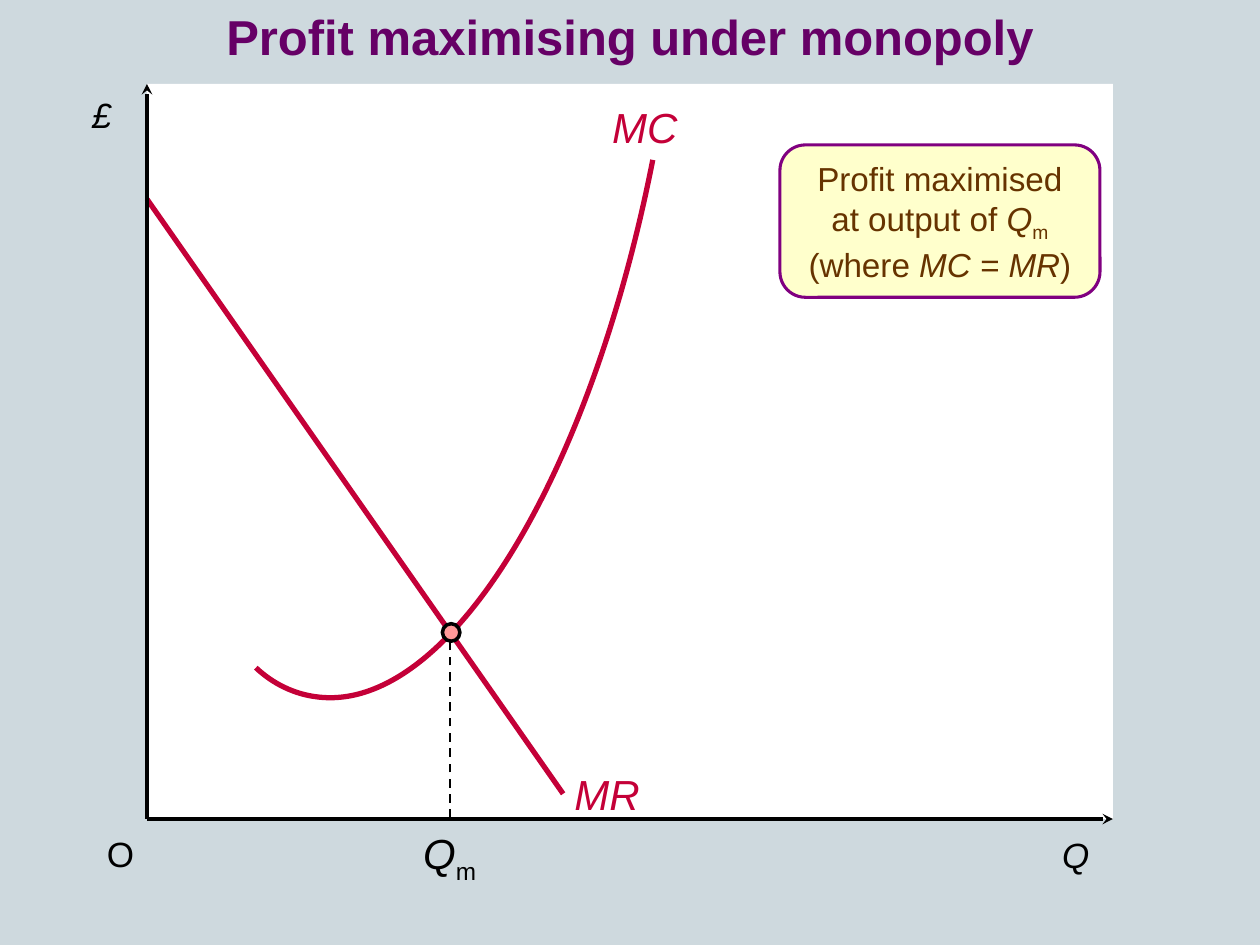
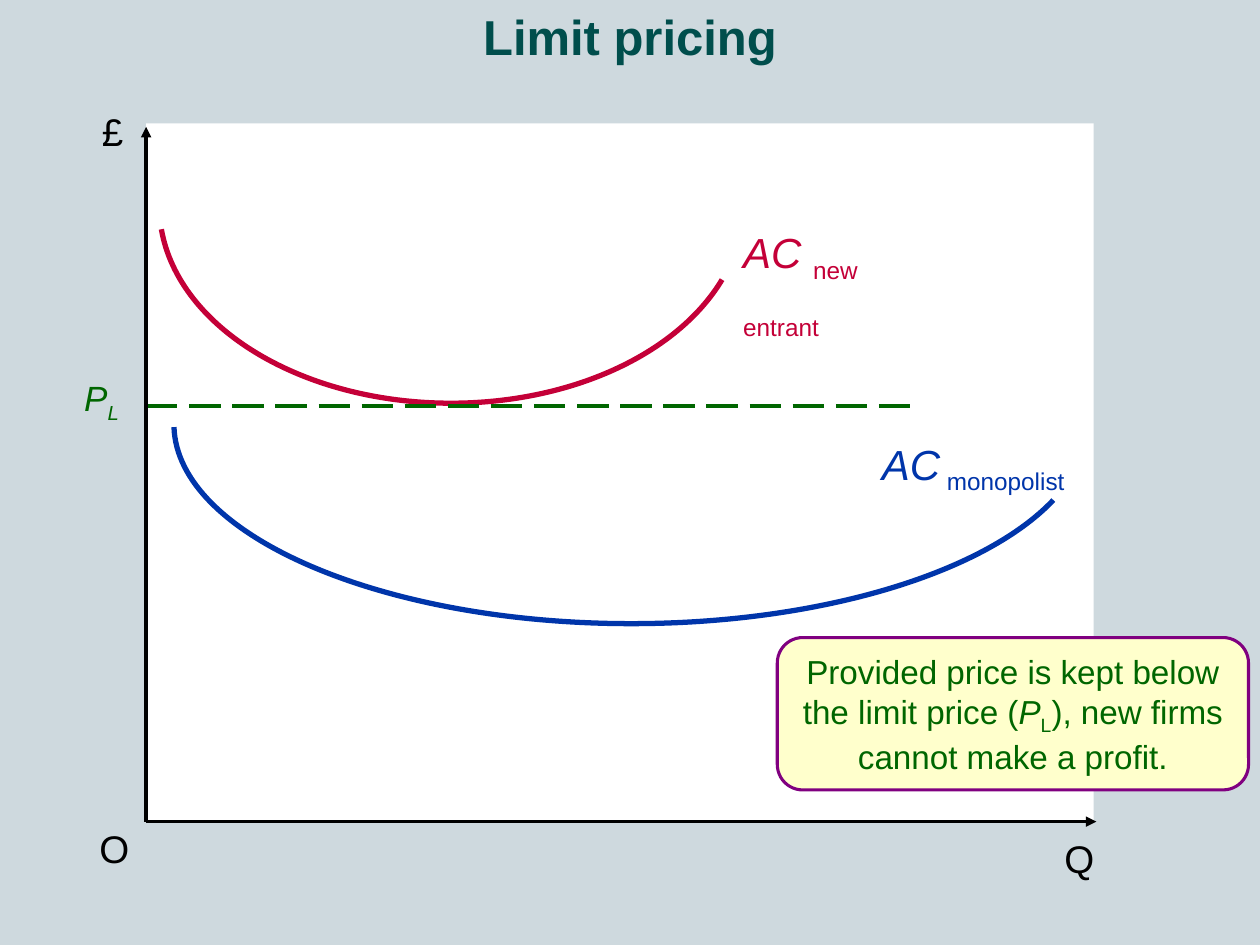
from dataclasses import dataclass

from lxml.etree import SubElement
from pptx import Presentation
from pptx.dml.color import RGBColor
from pptx.enum.dml import MSO_LINE as Dash
from pptx.enum.shapes import MSO_CONNECTOR as Conn, MSO_SHAPE as Kind
from pptx.enum.text import MSO_ANCHOR as Anchor, MSO_AUTO_SIZE as Fit, PP_ALIGN as Align
from pptx.oxml.ns import qn
from pptx.util import Pt


@dataclass(frozen=True)
class Theme:
    font: str = "Arial"
    back: str = "CED9DE"
    plot: str = "FFFFFF"
    ink: str = "000000"
    red: str = "C40038"
    blue: str = "0035AA"
    green: str = "006600"
    brown: str = "663300"
    purple: str = "660066"
    teal: str = "004E4C"
    cream: str = "FFFFCC"
    edge: str = "800080"
    pink: str = "FF9999"
    head: int = 28
    curve: int = 24
    axis: int = 20
    big: int = 22
    note: int = 19


T = Theme()
rgb = RGBColor.from_string


def write(shape, runs, size, color, align=Align.LEFT, wrap=True):
    """Fill a shape with (text, style) runs; style has i for italic, s for subscript."""
    frame = shape.text_frame
    frame.word_wrap = wrap
    frame.auto_size = Fit.SHAPE_TO_FIT_TEXT
    par = frame.paragraphs[0]
    par.alignment = align
    par.font.name, par.font.size = T.font, Pt(size)
    par.font.color.rgb = rgb(color)
    slant = all("i" in style for _, style in runs)
    par.font.italic = slant
    for text, style in runs:
        run = par.add_run()
        run.text = text
        if "i" in style and not slant:
            run.font.italic = True
        if "s" in style:
            run.font._element.set("baseline", "-25000")
    return par


def rule(start, end, color, width, dash=None, tip=None):
    """Draw a straight line, with an arrowhead at its end if a tip is named."""
    line = slide.shapes.add_connector(Conn.STRAIGHT, *map(Pt, start + end))
    line.line.color.rgb = rgb(color)
    line.line.width = Pt(width)
    if dash:
        line.line.dash_style = dash
    if tip:
        SubElement(line.line._get_or_add_ln(), qn("a:tailEnd"), type=tip)
    SubElement(line._element.spPr, qn("a:effectLst"))


# Curves hold a start point, then three points for each Bézier piece.
# Labels hold left, top, width, runs, size and colour.
slides = [
    dict(
        title="Profit maximising under monopoly", color=T.purple,
        plot=(84, 48, 552, 420), ends=(636, 48), tip="stealth",
        curves=[([(373, 91.4), (336.2, 277.9), (254.2, 408.2), (180.7, 398.2),
                  (168.5, 396.7), (156.2, 391), (146.2, 381.6)], T.red)],
        rules=[((84, 113.8), (321.8, 453.6), T.red, 3),
               ((257, 467.5), (257, 365), T.ink, 1.25, Dash.DASH)],
        dots=[(257.8, 361.4)],
        labels=[(321.1, 435.6, 51.8, [("MR", "i")], T.curve, T.red),
                (342.7, 54.7, 58.3, [("MC", "i")], T.curve, T.red),
                (45.4, 49.7, 31, [("£", "i")], T.axis, T.ink),
                (599.8, 473, 36, [("Q", "i")], T.axis, T.ink),
                (54, 472.3, 30.2, [("O", "")], T.axis, T.ink),
                (234.7, 469.4, 44.6, [("Q", "i"), ("m", "s")], T.curve, T.ink)],
        box=(445.7, 82.8, 182.9, 87.1), tone=T.brown,
        note=[("Profit maximised at output of ", ""), ("Q", "i"), ("m ", "s"),
              ("(where ", ""), ("MC = MR", "i"), (")", "")],
    ),
    dict(
        title="Limit pricing", color=T.teal,
        plot=(83.5, 70.5, 541.5, 399), ends=(626.5, 72.5), tip="triangle",
        curves=[([(412.6, 159.8), (386.6, 203), (325.4, 230.4), (257.8, 230.4),
                  (173.5, 230.4), (102.2, 188), (92.2, 131)], T.red),
                ([(601.9, 285.8), (561.6, 328.3), (466.6, 356.4), (360.7, 356.4),
                  (218.2, 356.4), (101.5, 306), (99.4, 244.1)], T.blue)],
        rules=[((83.5, 231.8), (526.3, 231.8), T.green, 2.25, Dash.LONG_DASH)],
        dots=[],
        labels=[(417.6, 126, 126.7, [("AC ", "i"), ("new entrant", "s")], T.curve, T.red),
                (496.8, 247, 118.8, [("AC", "i"), (" monopolist", "s")], T.curve, T.blue),
                (51.1, 58.3, 26.6, [("£", "")], T.big, T.ink),
                (49.7, 468, 31.7, [("O", "")], T.big, T.ink),
                (601.2, 473.8, 31.7, [("Q", "")], T.big, T.ink),
                (41, 211.7, 35.3, [("P", "i"), ("L", "is")], T.axis, T.green)],
        box=(444.2, 364.3, 269.3, 87.1), tone=T.green,
        note=[("Provided price is kept below the limit price (", ""), ("P", "i"),
              ("L", "s"), ("), new firms cannot make a profit.", "")],
    ),
]

prs = Presentation()
prs.slide_width, prs.slide_height = Pt(720), Pt(540)
fill = prs.slide_master.background.fill
fill.solid()
fill.fore_color.rgb = rgb(T.back)

for data in slides:
    slide = prs.slides.add_slide(prs.slide_layouts[5])
    shapes = slide.shapes

    title = shapes.title
    title.left, title.top, title.width, title.height = map(Pt, (0, 0, 720, 41))
    par = write(title, [(data["title"], "")], T.head, data["color"], Align.CENTER)
    par.font.bold = True
    title.text_frame.vertical_anchor = Anchor.TOP
    glow = SubElement(par.runs[0].font._element, qn("a:effectLst"))
    shade = SubElement(glow, qn("a:outerShdw"), dist="25400", dir="2700000")
    SubElement(shade, qn("a:srgbClr"), val=T.ink)

    left, top, width, height = data["plot"]
    base = top + height
    plot = shapes.add_shape(Kind.RECTANGLE, *map(Pt, data["plot"]))
    plot.shadow.inherit = False
    plot.fill.solid()
    plot.fill.fore_color.rgb = rgb(T.plot)
    plot.line.fill.background()

    for points, color in data["curves"]:
        points = [(Pt(x), Pt(y)) for x, y in points]
        pen = shapes.build_freeform(*points[0])
        pen.add_line_segments(points[1:], close=False)
        curve = pen.convert_to_shape()
        curve.shadow.inherit = False
        curve.fill.background()
        curve.line.color.rgb = rgb(color)
        curve.line.width = Pt(3)
        # Turn each three straight pieces into one Bézier piece
        parts = curve._element.findall(".//" + qn("a:lnTo"))
        trace = parts[0].getparent()
        for i in range(0, len(parts), 3):
            bend = SubElement(trace, qn("a:cubicBezTo"))
            for part in parts[i:i + 3]:
                bend.append(part[0])
                trace.remove(part)

    for args in data["rules"]:
        rule(*args)
    right, peak = data["ends"]
    for end in ((right, base), (left, peak)):
        rule((left, base), end, T.ink, 2, tip=data["tip"])

    for x, y in data["dots"]:
        dot = shapes.add_shape(Kind.OVAL, Pt(x - 5), Pt(y - 5), Pt(10), Pt(10))
        dot.shadow.inherit = False
        dot.fill.solid()
        dot.fill.fore_color.rgb = rgb(T.pink)
        dot.line.color.rgb = rgb(T.ink)
        dot.line.width = Pt(2)

    for x, y, wide, runs, size, color in data["labels"]:
        label = shapes.add_textbox(Pt(x), Pt(y), Pt(wide), Pt(size * 1.2 + 7.2))
        write(label, runs, size, color, wrap=False)

    note = shapes.add_shape(Kind.ROUNDED_RECTANGLE, *map(Pt, data["box"]))
    note.shadow.inherit = False
    note.fill.solid()
    note.fill.fore_color.rgb = rgb(T.cream)
    note.line.color.rgb = rgb(T.edge)
    note.line.width = Pt(1.75)
    write(note, data["note"], T.note, data["tone"], Align.CENTER)

prs.save("out.pptx")
